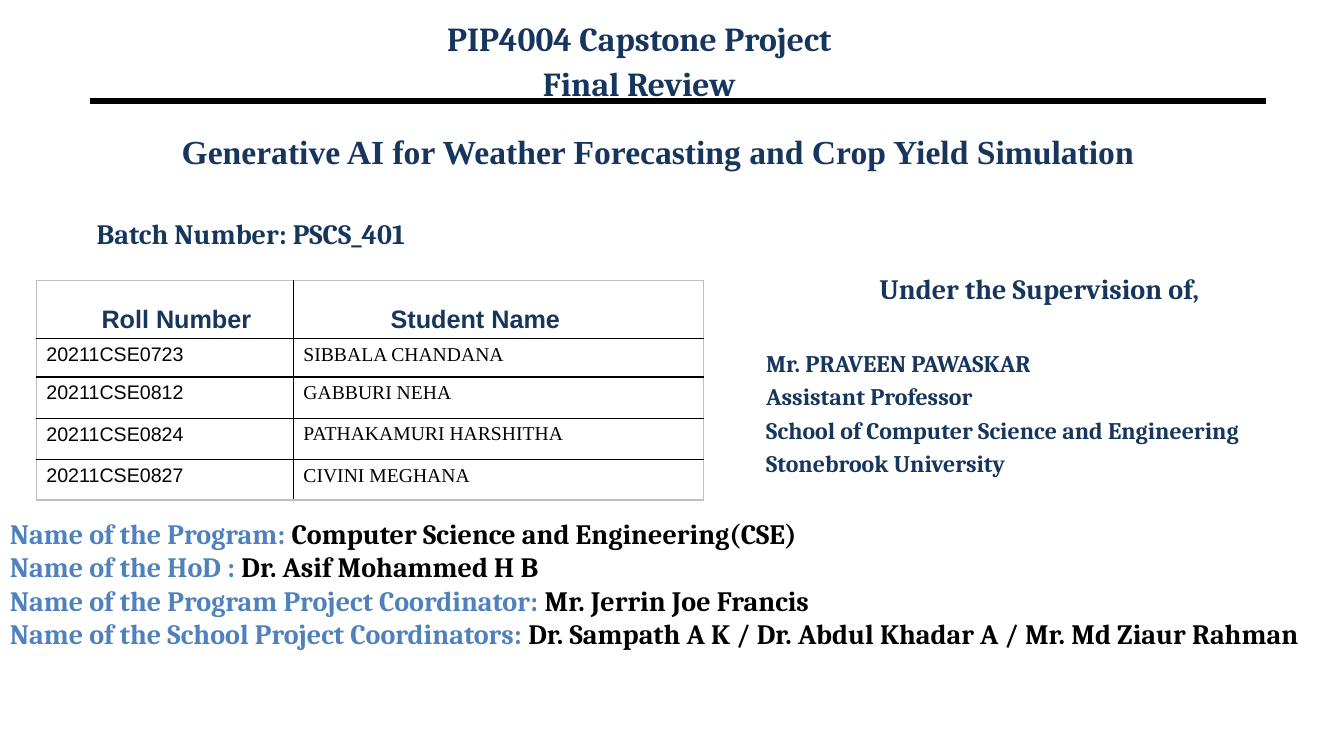
"""Build the capstone project final review cover slide."""
from dataclasses import dataclass

from lxml.etree import SubElement
from pptx import Presentation
from pptx.dml.color import RGBColor
from pptx.enum.shapes import MSO_CONNECTOR as Connector
from pptx.enum.text import MSO_ANCHOR as Anchor, PP_ALIGN as Align
from pptx.oxml.ns import qn
from pptx.util import Inches, Pt


@dataclass(frozen=True)
class Theme:
    navy: str = "17365D"
    blue: str = "4F81BD"
    black: str = "000000"
    frame: str = "BFBFBF"
    serif: str = "Cambria"
    roman: str = "Times New Roman"
    sans: str = "Arial"
    title: float = 24
    heading: float = 20
    column: float = 18
    body: float = 17
    cell: float = 14


THEME = Theme()


@dataclass(frozen=True)
class Run:
    text: str
    size: float = THEME.heading
    color: str = THEME.navy
    font: str = THEME.serif
    bold: bool = True


@dataclass(frozen=True)
class Line:
    runs: tuple[Run, ...]
    align: Align = Align.LEFT
    before: float = 0


@dataclass(frozen=True)
class Block:
    left: float
    top: float
    width: float
    height: float
    lines: tuple[Line, ...]
    top_inset: float = 0.05


@dataclass(frozen=True)
class Grid:
    left: float
    top: float
    widths: tuple[float, ...]
    heights: tuple[float, ...]
    entries: dict[tuple[int, int], Line]
    anchor: Anchor
    ruled: bool


STAFF = (
    ("Name of the Program: ", "Computer Science and Engineering(CSE)"),
    ("Name of the HoD : ", "Dr. Asif Mohammed H B"),
    ("Name of the Program Project Coordinator: ", "Mr. Jerrin Joe Francis"),
    ("Name of the School Project Coordinators: ",
     "Dr. Sampath A K / Dr. Abdul Khadar A / Mr. Md Ziaur Rahman"),
)
SUPERVISOR = (
    "Mr. PRAVEEN PAWASKAR",
    "Assistant Professor",
    "School of Computer Science and Engineering",
    "Stonebrook University",
)
COLUMN_NAMES = ("Roll Number", "Student Name")
COLUMN_FONTS = (THEME.sans, THEME.roman)
STUDENTS = (
    ("20211CSE0723", "SIBBALA CHANDANA"),
    ("20211CSE0812", "GABBURI NEHA"),
    ("20211CSE0824", "PATHAKAMURI HARSHITHA"),
    ("20211CSE0827", "CIVINI MEGHANA"),
)

BLOCKS = (
    Block(3.54, 0.13, 5.6, 0.84, (
        Line((Run("PIP4004 Capstone Project", THEME.title),), Align.CENTER),
        Line((Run("Final Review", THEME.title),), Align.CENTER, 3.1),
    )),
    Block(0.86, 2.1, 4.34, 0.55, (Line((Run("Batch Number: PSCS_401"),)),)),
    Block(7.5, 2.64, 5.62, 2.18, (
        Line((Run("Under the Supervision of,"),), Align.CENTER),
        *(Line((Run(detail, THEME.body),), before=3.4 if row else 31.5)
          for row, detail in enumerate(SUPERVISOR)),
    )),
    Block(0, 4.74, 13.4, 1.93, tuple(
        Line((Run(role, color=THEME.blue), Run(person, color=THEME.black)))
        for role, person in STAFF), top_inset=0.38),
)

HEADINGS = Grid(0.61, 2.98, (2.28, 3.65), (0.33,) * 6, {
    (0, column): Line((Run(name, THEME.column, font=THEME.sans),), Align.CENTER)
    for column, name in enumerate(COLUMN_NAMES)
}, Anchor.MIDDLE, ruled=False)
ROSTER = Grid(0.36, 2.78, (2.55, 4.07), (0.58, 0.38, 0.41, 0.41, 0.4), {
    (row, column): Line((Run(entry, THEME.cell, THEME.black, COLUMN_FONTS[column], False),))
    for row, student in enumerate(STUDENTS, 1)
    for column, entry in enumerate(student)
}, Anchor.TOP, ruled=True)


def write_lines(frame, lines: tuple[Line, ...]) -> None:
    """Fill a text frame with formatted lines."""
    for index, line in enumerate(lines):
        paragraph = frame.paragraphs[0] if index == 0 else frame.add_paragraph()
        paragraph.alignment = line.align
        paragraph.space_before = Pt(line.before)
        for part in line.runs:
            run = paragraph.add_run()
            run.text = part.text
            run.font.size = Pt(part.size)
            run.font.name = part.font
            run.font.bold = part.bold
            run.font.color.rgb = RGBColor.from_string(part.color)


def add_block(slide, block: Block) -> None:
    """Add a wrapped text box."""
    box = slide.shapes.add_textbox(
        Inches(block.left), Inches(block.top), Inches(block.width), Inches(block.height))
    frame = box.text_frame
    frame.word_wrap = True
    frame.margin_top = Inches(block.top_inset)
    write_lines(frame, block.lines)


def add_title(slide) -> None:
    """Place and format the project title."""
    title = slide.shapes.title
    title.left, title.top = Inches(0.86), Inches(1.17)
    title.width, title.height = Inches(11.33), Inches(1.05)
    title.text_frame.vertical_anchor = Anchor.MIDDLE
    title.text_frame.margin_bottom = Inches(0.44)
    heading = Run("Generative AI for Weather Forecasting and Crop Yield Simulation",
                  THEME.title, font=THEME.roman)
    write_lines(title.text_frame, (Line((heading,), Align.CENTER),))


def add_rule(slide) -> None:
    """Draw the heavy rule under the header."""
    rule = slide.shapes.add_connector(
        Connector.STRAIGHT, Inches(0.89), Inches(1), Inches(12.56), Inches(1))
    rule.line.color.rgb = RGBColor.from_string(THEME.black)
    rule.line.width = Pt(4.5)
    SubElement(rule.element.spPr, qn("a:effectLst"))


def set_borders(cell, outer: dict[str, bool], ruled: bool) -> None:
    """Draw grey outer and black inner borders, or clear them all."""
    properties = cell._tc.get_or_add_tcPr()
    for side, is_outer in outer.items():
        border = SubElement(properties, qn(f"a:ln{side}"), w=str(Pt(1)))
        if ruled:
            fill = SubElement(border, qn("a:solidFill"))
            SubElement(fill, qn("a:srgbClr"), val=THEME.frame if is_outer else THEME.black)
        else:
            SubElement(border, qn("a:noFill"))


def add_grid(slide, grid: Grid) -> None:
    """Add a table and fill its entries."""
    last_row, last_column = len(grid.heights) - 1, len(grid.widths) - 1
    table = slide.shapes.add_table(
        last_row + 1, last_column + 1, Inches(grid.left), Inches(grid.top),
        Inches(sum(grid.widths)), Inches(sum(grid.heights))).table
    table.first_row = table.horz_banding = False
    for column, width in enumerate(grid.widths):
        table.columns[column].width = Inches(width)
    for row, height in enumerate(grid.heights):
        table.rows[row].height = Inches(height)
        for column in range(last_column + 1):
            cell = table.cell(row, column)
            set_borders(cell, {"L": column == 0, "R": column == last_column,
                               "T": row == 0, "B": row == last_row}, grid.ruled)
            cell.fill.background()
            cell.vertical_anchor = grid.anchor
            if (row, column) in grid.entries:
                write_lines(cell.text_frame, (grid.entries[row, column],))


def main() -> None:
    """Build and save the slide."""
    deck = Presentation()
    deck.slide_width, deck.slide_height = Inches(13.33), Inches(7.5)
    slide = deck.slides.add_slide(deck.slide_layouts[5])
    add_rule(slide)
    add_title(slide)
    add_grid(slide, HEADINGS)
    for block in BLOCKS:
        add_block(slide, block)
    add_grid(slide, ROSTER)
    deck.save("out.pptx")


if __name__ == "__main__":
    main()
